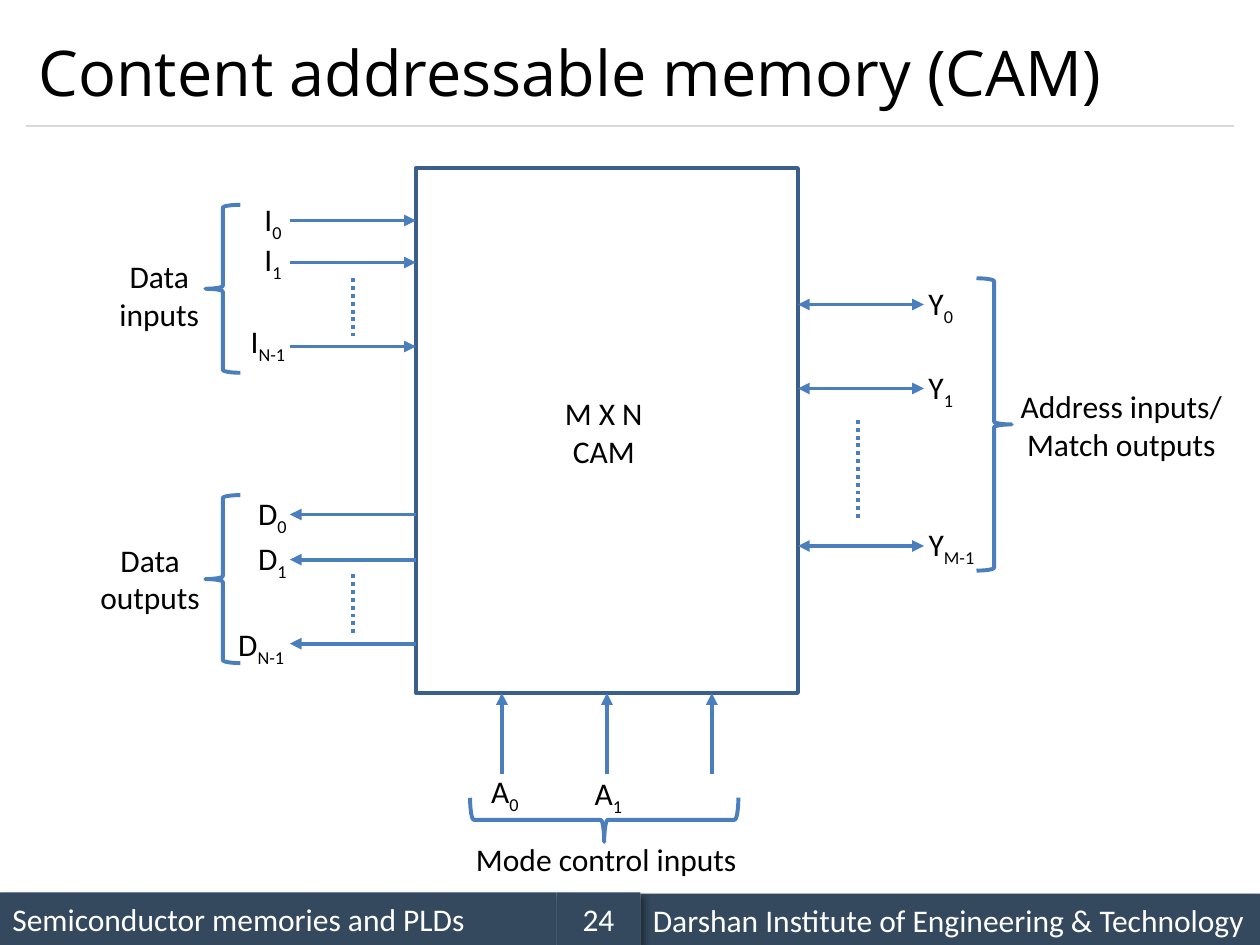
from dataclasses import dataclass

from lxml import etree
from pptx import Presentation
from pptx.dml.color import RGBColor
from pptx.enum.dml import MSO_LINE
from pptx.enum.shapes import MSO_CONNECTOR, MSO_SHAPE
from pptx.enum.text import MSO_ANCHOR, PP_ALIGN
from pptx.oxml.ns import qn
from pptx.util import Inches, Pt

RECTANGLE = MSO_SHAPE.RECTANGLE
LEFT_BRACE = MSO_SHAPE.LEFT_BRACE
RIGHT_BRACE = MSO_SHAPE.RIGHT_BRACE
STRAIGHT = MSO_CONNECTOR.STRAIGHT
DOTTED = MSO_LINE.ROUND_DOT
TOP, MIDDLE = MSO_ANCHOR.TOP, MSO_ANCHOR.MIDDLE
LEFT, CENTER = PP_ALIGN.LEFT, PP_ALIGN.CENTER

CELLS_PER_INCH = 24
COLUMNS, ROWS = 240, 180
BLUE, OUTLINE, RULE, SLATE = "4B7EBC", "3A5F8C", "D9D9D9", "34495E"
BLACK, WHITE = "000000", "FFFFFF"
BOTTOM_SIDE = 2


@dataclass
class Area:
    column: float
    row: float
    columns: float
    rows: float


@dataclass
class Signal:
    area: Area
    letter: str
    index: str


@dataclass
class Brace:
    preset: int
    area: Area
    rotation: int = 0


@dataclass
class Caption:
    area: Area
    lines: list[str]
    align: int = CENTER


@dataclass
class FooterPart:
    area: Area
    text: str
    align: int = LEFT


MEMORY = Area(79.2, 32, 72.8, 100)
MEMORY_RIGHT = MEMORY.column + MEMORY.columns
MEMORY_BOTTOM = MEMORY.row + MEMORY.rows
MEMORY_CENTER = MEMORY.column + MEMORY.columns / 2
PIN = 24
INPUT_ROWS = [42, 50, 66]
OUTPUT_ROWS = [98, 106.6, 122.6]
ADDRESS_ROWS = [58, 74, 104]
MODE_COLUMNS = [MEMORY_CENTER - 20, MEMORY_CENTER, MEMORY_CENTER + 20]
MODE_START = 147.4

SIGNALS = [
    Signal(Area(48, 37, 9, 8.6), "I", "0"),
    Signal(Area(48, 44.6, 9, 8.6), "I", "1"),
    Signal(Area(45.4, 60.2, 13, 8.6), "I", "N-1"),
    Signal(Area(46.8, 92.9, 10.6, 8.6), "D", "0"),
    Signal(Area(46.8, 101.5, 10.6, 8.6), "D", "1"),
    Signal(Area(43, 117.8, 17, 12.2), "D", "N-1"),
    Signal(Area(91.2, 145.9, 10.3, 6.5), "A", "0"),
    Signal(Area(110.9, 146.2, 10.3, 6.5), "A", "1"),
    Signal(Area(174.5, 53, 10.6, 8.6), "Y", "0"),
    Signal(Area(174.5, 68.9, 10.6, 8.6), "Y", "1"),
    Signal(Area(174.5, 98.9, 15.6, 8.6), "Y", "M-1"),
]
BRACES = [
    Brace(LEFT_BRACE, Area(39.1, 94.3, 6.7, 32)),
    Brace(LEFT_BRACE, Area(39.1, 39, 6.7, 32)),
    Brace(RIGHT_BRACE, Area(186, 53, 6.7, 55.7)),
    Brace(LEFT_BRACE, Area(110.9, 130.6, 8.4, 51.1), 270),
]
CAPTIONS = [
    Caption(Area(19.9, 47.8, 20.9, 17), ["Data", "inputs"]),
    Caption(Area(16, 101.8, 25.2, 17), ["Data", "outputs"]),
    Caption(Area(191.3, 72.5, 44.6, 17), ["Address inputs/", "Match outputs"]),
    Caption(Area(88.3, 158.9, 58.1, 9.6), ["Mode control inputs"], LEFT),
    Caption(Area(104.9, 73.9, 20.2, 17), ["M X N", "CAM"]),
]
FOOTER = [
    FooterPart(Area(0, 170, 106, 10), "Semiconductor memories and PLDs"),
    FooterPart(Area(122, 170.2, 118, 10), "Darshan Institute of Engineering & Technology"),
    FooterPart(Area(106, 170, 16, 10), "24", CENTER),
]
DOTS = [(67.2, 53, 64.1), (67.2, 109.4, 120.7), (163.4, 80, 98.9)]


def color(value: str) -> RGBColor:
    return RGBColor.from_string(value)


def cells(count: float) -> int:
    return Inches(count / CELLS_PER_INCH)


def place(area: Area) -> list[int]:
    return [cells(value) for value in (area.column, area.row, area.columns, area.rows)]


def add_run(paragraph, text: str, ink: str, size: int = 18, typeface: str = "Calibri"):
    run = paragraph.add_run()
    run.text = text
    run.font.size = Pt(size)
    run.font.name = typeface
    run.font.color.rgb = color(ink)
    return run


def prepare_frame(shape, align: int, anchor: int):
    frame = shape.text_frame
    frame.word_wrap = True
    frame.vertical_anchor = anchor
    if align == LEFT:
        frame.margin_right = 0
    frame.paragraphs[0].alignment = align
    return frame


def add_shape(slide, preset: int, area: Area, line: str | None = None, width: float = 2.25, fill: str | None = None):
    shape = slide.shapes.add_shape(preset, *place(area))
    shape.shadow.inherit = False
    if fill:
        shape.fill.solid()
        shape.fill.fore_color.rgb = color(fill)
    else:
        shape.fill.background()
    if line:
        shape.line.color.rgb = color(line)
        shape.line.width = Pt(width)
    else:
        shape.line.fill.background()
    return shape


def add_line(slide, start: tuple, end: tuple, ends: tuple = (), ink: str = BLUE, width: float = 2.25, dash=None):
    connector = slide.shapes.add_connector(STRAIGHT, *[cells(value) for value in (*start, *end)])
    connector.line.color.rgb = color(ink)
    connector.line.width = Pt(width)
    if dash:
        connector.line.dash_style = dash
    properties = connector._element.spPr
    for name in ends:
        etree.SubElement(properties.find(qn("a:ln")), qn(f"a:{name}"), type="triangle")
    etree.SubElement(properties, qn("a:effectLst"))
    return connector


def add_footer_part(slide, part: FooterPart) -> None:
    shape = add_shape(slide, RECTANGLE, part.area, fill=SLATE)
    effects = shape._element.spPr.find(qn("a:effectLst"))
    shadow = etree.SubElement(effects, qn("a:outerShdw"), blurRad=str(Pt(4)), dist=str(Pt(3)), dir="2700000")
    shade = etree.SubElement(shadow, qn("a:srgbClr"), val=BLACK)
    etree.SubElement(shade, qn("a:alpha"), val="40000")
    frame = prepare_frame(shape, part.align, MIDDLE)
    add_run(frame.paragraphs[0], part.text, WHITE)


def add_signal(slide, signal: Signal) -> None:
    frame = prepare_frame(slide.shapes.add_textbox(*place(signal.area)), LEFT, TOP)
    paragraph = frame.paragraphs[0]
    add_run(paragraph, signal.letter, BLACK)
    index = add_run(paragraph, signal.index, BLACK)
    index._r.get_or_add_rPr().set("baseline", "-25000")


def add_caption(slide, caption: Caption) -> None:
    frame = prepare_frame(slide.shapes.add_textbox(*place(caption.area)), caption.align, TOP)
    for number, line in enumerate(caption.lines):
        paragraph = frame.add_paragraph() if number else frame.paragraphs[0]
        paragraph.alignment = caption.align
        add_run(paragraph, line, BLACK)


def main() -> None:
    presentation = Presentation()
    presentation.slide_width, presentation.slide_height = cells(COLUMNS), cells(ROWS)
    slide = presentation.slides.add_slide(presentation.slide_layouts[6])
    for part in FOOTER:
        add_footer_part(slide, part)
    add_line(slide, (5, 24), (235, 24), ink=RULE, width=0.75)
    title = prepare_frame(slide.shapes.add_textbox(*place(Area(5, 3, 230, 21))), LEFT, MIDDLE)
    add_run(title.paragraphs[0], "Content addressable memory (CAM)", BLACK, 36, "Open Sans")
    memory = add_shape(slide, RECTANGLE, MEMORY, OUTLINE, 2)

    for row in INPUT_ROWS:
        add_line(slide, (MEMORY.column - PIN, row), (MEMORY.column, row), ("tailEnd",))
    for row in OUTPUT_ROWS:
        add_line(slide, (MEMORY.column, row), (MEMORY.column - PIN, row), ("tailEnd",))
    for column in MODE_COLUMNS:
        arrow = add_line(slide, (column, MODE_START), (column, MEMORY_BOTTOM), ("tailEnd",))
        if column == MEMORY_CENTER:
            arrow.end_connect(memory, BOTTOM_SIDE)
    for row in ADDRESS_ROWS:
        add_line(slide, (MEMORY_RIGHT, row), (MEMORY_RIGHT + PIN, row), ("headEnd", "tailEnd"))

    for signal in SIGNALS:
        add_signal(slide, signal)
    for brace in BRACES:
        add_shape(slide, brace.preset, brace.area, BLUE).rotation = brace.rotation
    for caption in CAPTIONS:
        add_caption(slide, caption)
    for column, first_row, last_row in DOTS:
        add_line(slide, (column, first_row), (column, last_row), dash=DOTTED)
    presentation.save("out.pptx")


if __name__ == "__main__":
    main()
